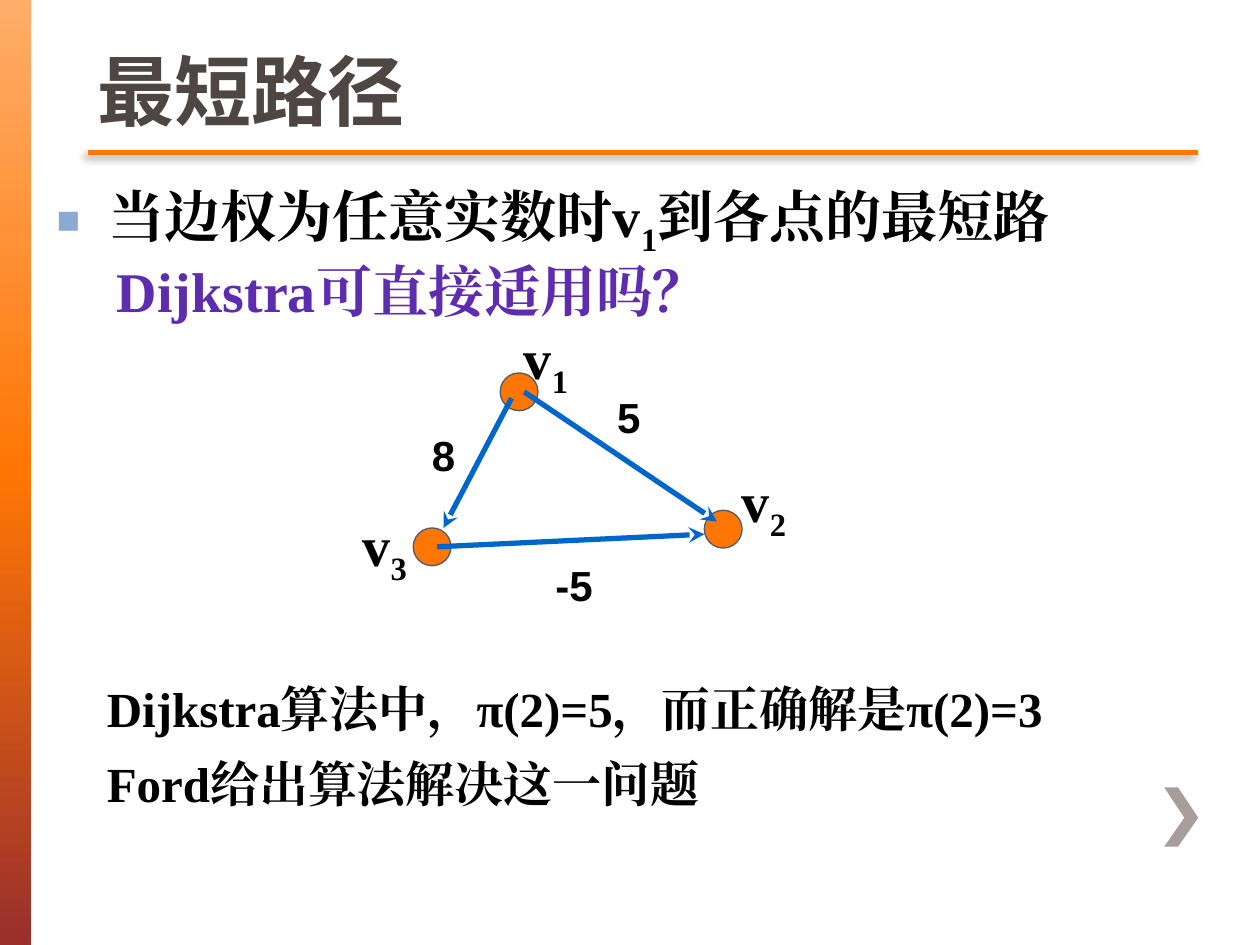
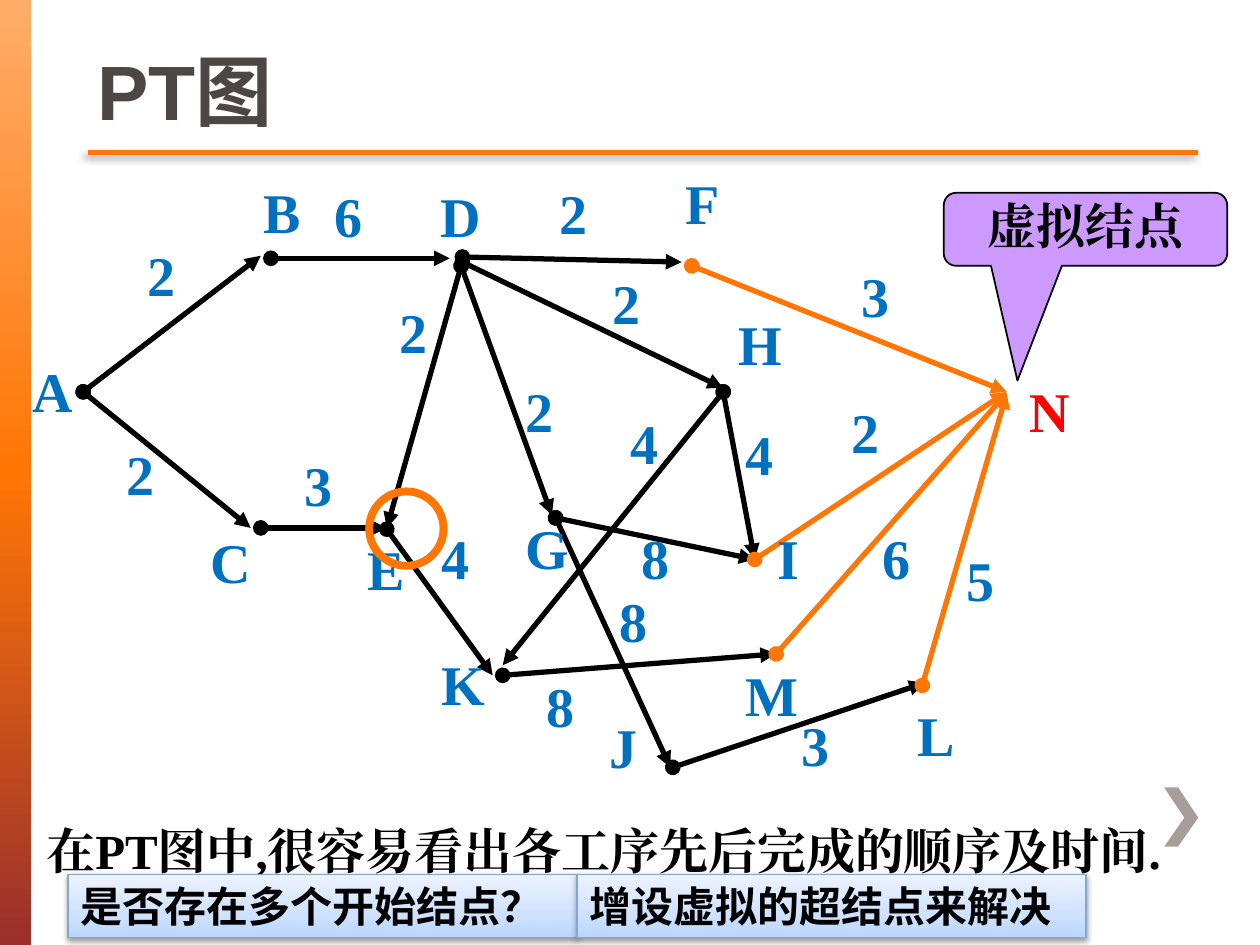
"""Build two graph-theory slides: shortest paths and a PT network."""
from pptx import Presentation
from pptx import util as u
from pptx.dml.color import RGBColor
from pptx.enum import shapes, text
from pptx.oxml import parse_xml
from pptx.oxml.ns import qn

PX = 9144
NS = 'xmlns:a="http://schemas.openxmlformats.org/drawingml/2006/main"'
C = {"orange": "FF7605", "title": "4D4643", "title_edge": "675D59",
     "chevron": "A79D99", "bullet": "89AAD3", "black": "000000",
     "purple": "5E2CAE", "node_edge": "4D5B6B", "arrow": "0066CC",
     "label": "0070C0", "red": "FF0000", "callout": "CC99FF",
     "note_edge": "84A6D0"}
RGB = {k: RGBColor.from_string(v) for k, v in C.items()}
SERIF, SANS = "Times New Roman", "Arial"
BAND = [(0, "FFAD69"), (50, "FF7605"), (100, "9A2F2C")]
NOTE = [(0, "BAD6FF"), (35, "CEE1FF"), (100, "ECF3FF")]
GRAD = '<a:gradFill {}><a:gsLst>{}</a:gsLst><a:lin ang="{}" scaled="0"/></a:gradFill>'
STOP = '<a:gs pos="{}"><a:srgbClr val="{}"/></a:gs>'
SHADOW = ('<a:effectLst {}><a:outerShdw blurRad="{}" dist="{}" dir="{}" rotWithShape="0">'
          '<a:srgbClr val="000000"><a:alpha val="{}"/></a:srgbClr></a:outerShdw></a:effectLst>')


def write(sp, content, name, size, color, **para):
    """Fill a shape with bold text; parts between underscores are subscripts."""
    tf = sp.text_frame
    tf.word_wrap = True
    for i, line in enumerate(content.split("\n")):
        p = tf.add_paragraph() if i else tf.paragraphs[0]
        for key, value in {"alignment": text.PP_ALIGN.LEFT, **para}.items():
            setattr(p, key, value)
        for j, part in enumerate(line.split("_")):
            r = p.add_run()
            r.text = part
            for key, value in {"name": name, "size": u.Pt(size), "bold": True}.items():
                setattr(r.font, key, value)
            r.font.color.rgb = RGB[color]
            rPr = r._r.get_or_add_rPr()
            rPr.set("lang", "zh-CN")
            rPr.append(parse_xml(f'<a:ea {NS} typeface="{name}"/>'))
            if j % 2:
                rPr.set("baseline", "-25000")
    return tf


def connect(s, ends, color, width, head="none", tail="none"):
    """Draw a straight line with the given end marks and no shadow."""
    sp = s.shapes.add_connector(shapes.MSO_CONNECTOR.STRAIGHT, *[v * PX for v in ends])
    sp.line.color.rgb = RGB[color]
    sp.line.width = u.Pt(width)
    ln = sp.line._get_or_add_ln()
    ln.append(parse_xml(f'<a:headEnd {NS} type="{head}"/>'))
    ln.append(parse_xml(f'<a:tailEnd {NS} type="{tail}"/>'))
    sp._element.spPr.append(parse_xml(f'<a:effectLst {NS}/>'))
    return sp


prs = Presentation()
prs.slide_width, prs.slide_height = 1000 * PX, 750 * PX

for title, layout in [("最短路径", 1), ("PT图", 5)]:
    s = prs.slides.add_slide(prs.slide_layouts[layout])
    sp = s.shapes.add_shape(shapes.MSO_SHAPE.RECTANGLE, 0, 0, 25 * PX, 750 * PX)
    sp.shadow.inherit = False
    sp.line.fill.background()
    stops = "".join(STOP.format(pos * 1000, c) for pos, c in BAND)
    sp._element.spPr.insert(2, parse_xml(GRAD.format(NS, stops, 5400000)))

    fb = s.shapes.build_freeform(935, 625, scale=PX)
    fb.add_line_segments([(924, 625), (940, 649), (924, 672), (935, 672), (951, 649)])
    sp = fb.convert_to_shape()
    sp.shadow.inherit = False
    sp.fill.solid()
    sp.fill.fore_color.rgb = RGB["chevron"]
    sp.line.fill.background()

    spPr = connect(s, (70, 121, 951, 121), "orange", 2.5)._element.spPr
    spPr.remove(spPr.find(qn("a:effectLst")))
    spPr.append(parse_xml(SHADOW.format(NS, 63500, 38100, 8100000, 45000)))

    sp = s.shapes.title
    sp.left, sp.top, sp.width, sp.height = 67 * PX, 0, 881 * PX, 113 * PX
    tf = write(sp, title, SANS, 44, "title")
    tf.vertical_anchor = text.MSO_ANCHOR.BOTTOM
    tf.auto_size = text.MSO_AUTO_SIZE.NONE
    tf.paragraphs[0].runs[0]._r.rPr.insert(0, parse_xml(
        f'<a:ln {NS} w="12700"><a:solidFill><a:srgbClr val="{C["title_edge"]}"/></a:solidFill></a:ln>'))

s = prs.slides[0]
sp = s.placeholders[1]
sp.left, sp.top, sp.width, sp.height = 35 * PX, 139 * PX, 965 * PX, 63 * PX
tf = write(sp, "当边权为任意实数时v_1_到各点的最短路", SERIF, 32, "black", space_before=u.Pt(6))
tf.auto_size = text.MSO_AUTO_SIZE.NONE
pPr = tf.paragraphs[0]._p.get_or_add_pPr()
pPr.set("marL", str(41 * PX))
pPr.set("indent", str(-41 * PX))
for bullet in (f'<a:buClr {NS}><a:srgbClr val="{C["bullet"]}"/></a:buClr>',
               f'<a:buSzPct {NS} val="70000"/>', f'<a:buFont {NS} typeface="{SANS}"/>',
               f'<a:buChar {NS} char="■"/>'):
    pPr.append(parse_xml(bullet))

statements = [
    (83, 193, 63, "Dijkstra可直接适用吗？", 32, "purple"),
    (75, 529, 120, "Dijkstra算法中，π(2)=5，而正确解是π(2)=3\nFord给出算法解决这一问题", 28, "black"),
]
for x, y, h, content, size, color in statements:
    sp = s.shapes.add_textbox(x * PX, y * PX, (1000 - x) * PX, h * PX)
    write(sp, content, SERIF, size, color, line_spacing=1.1, space_before=u.Pt(size / 5))

for x, y in [(397, 296), (328, 419), (559, 405)]:
    sp = s.shapes.add_shape(shapes.MSO_SHAPE.OVAL, x * PX, y * PX, 30 * PX, 30 * PX)
    sp.shadow.inherit = False
    sp.fill.solid()
    sp.fill.fore_color.rgb = RGB["orange"]
    sp.line.color.rgb = RGB["node_edge"]
    sp.line.width = u.Pt(0.75)
for ends in [(406, 316, 352, 419), (347, 434, 559, 424), (416, 311, 569, 414)]:
    connect(s, ends, "arrow", 3, tail="stealth")
for x, y, weight in [(333, 336, "8"), (480, 306, "5"), (431, 439, "-5")]:
    sp = s.shapes.add_textbox(x * PX, y * PX, 54 * PX, 51 * PX)
    write(sp, weight, SANS, 24, "black")
for x, y, vertex in [(406, 252, "v_1"), (579, 365, "v_2"), (278, 400, "v_3")]:
    sp = s.shapes.add_textbox(x * PX, y * PX, 74 * PX, 63 * PX)
    write(sp, vertex, SERIF, 32, "black")

s = prs.slides[1]
sink_x = 799
edges = [
    ((66, 311, 207, 203), "2", 107, 186),
    ((66, 311, 199, 419), "2", 91, 344),
    ((215, 205, 357, 205), "6", 256, 139),
    ((207, 419, 307, 419), "3", 232, 353),
    ((366, 211, 307, 419), "2", 307, 231),
    ((367, 204, 541, 208), "2", 434, 137),
    ((366, 211, 438, 409), "2", 407, 294),
    ((367, 208, 574, 308), "2", 476, 208),
    ((307, 420, 391, 536), "4", 341, 411),
    ((549, 211, sink_x, 311), "3", 674, 203),
    ((441, 411, 599, 444), "8", 499, 411),
    ((441, 411, 532, 609), "8", 482, 461),
    ((574, 311, 599, 444), "4", 582, 328),
    ((574, 311, 399, 528), "4", 491, 319),
    ((599, 444, sink_x, 311), "2", 666, 311),
    ((534, 609, 734, 542), "3", 626, 559),
    ((399, 536, 616, 519), "8", 424, 528),
    ((732, 544, sink_x, 312), "5", 757, 428),
    ((616, 519, sink_x, 312), "6", 691, 411),
]
nodes = [("A", 16, 278), ("B", 199, 136), ("C", 157, 414), ("D", 340, 139),
         ("E", 282, 419), ("F", 534, 129), ("G", 407, 403), ("H", 576, 241),
         ("I", 607, 411), ("J", 474, 561), ("K", 341, 511), ("L", 718, 551),
         ("M", 582, 519), ("N", 807, 294)]
for ends, *_ in edges:
    connect(s, ends, "orange" if ends[2] == sink_x else "black", 3, "oval", "triangle")
for label, x, y in nodes + [e[1:] for e in edges]:
    sp = s.shapes.add_textbox(x * PX, y * PX, 50 * PX, 63 * PX)
    write(sp, label, SERIF, 32, "red" if label == "N" else "label")

sp = s.shapes.add_shape(shapes.MSO_SHAPE.ROUNDED_RECTANGULAR_CALLOUT,
                        749 * PX, 153 * PX, 225 * PX, 58 * PX)
sp.shadow.inherit = False
for i, value in enumerate((-0.24, 2.07, 0.17)):
    sp.adjustments[i] = value
sp.fill.solid()
sp.fill.fore_color.rgb = RGB["callout"]
sp.line.color.rgb = RGB["black"]
sp.line.width = u.Pt(1)
write(sp, "虚拟结点", SERIF, 28, "black", alignment=text.PP_ALIGN.CENTER, line_spacing=0.85)

sp = s.shapes.add_textbox(27 * PX, 646 * PX, 973 * PX, 57 * PX)
write(sp, "在PT图中,很容易看出各工序先后完成的顺序及时间.", SERIF, 28, "black")

sp = s.shapes.add_shape(shapes.MSO_SHAPE.OVAL, 293 * PX, 390 * PX, 59 * PX, 59 * PX)
sp.shadow.inherit = False
sp.fill.background()
sp.line.color.rgb = RGB["orange"]
sp.line.width = u.Pt(4.5)

for i, content in enumerate(["是否存在多个开始结点？", "增设虚拟的超结点来解决"]):
    sp = s.shapes.add_shape(shapes.MSO_SHAPE.RECTANGLE,
                            (54 + 404 * i) * PX, 694 * PX, 404 * PX, 50 * PX)
    stops = "".join(STOP.format(pos * 1000, c) for pos, c in NOTE)
    sp._element.spPr.append(parse_xml(GRAD.format(NS, stops, 16200000)))
    sp.line.color.rgb = RGB["note_edge"]
    sp.line.width = u.Pt(0.75)
    sp._element.spPr.append(parse_xml(SHADOW.format(NS, 40000, 20000, 5400000, 38000)))
    write(sp, content, "Calibri", 24, "black")

prs.save("out.pptx")
